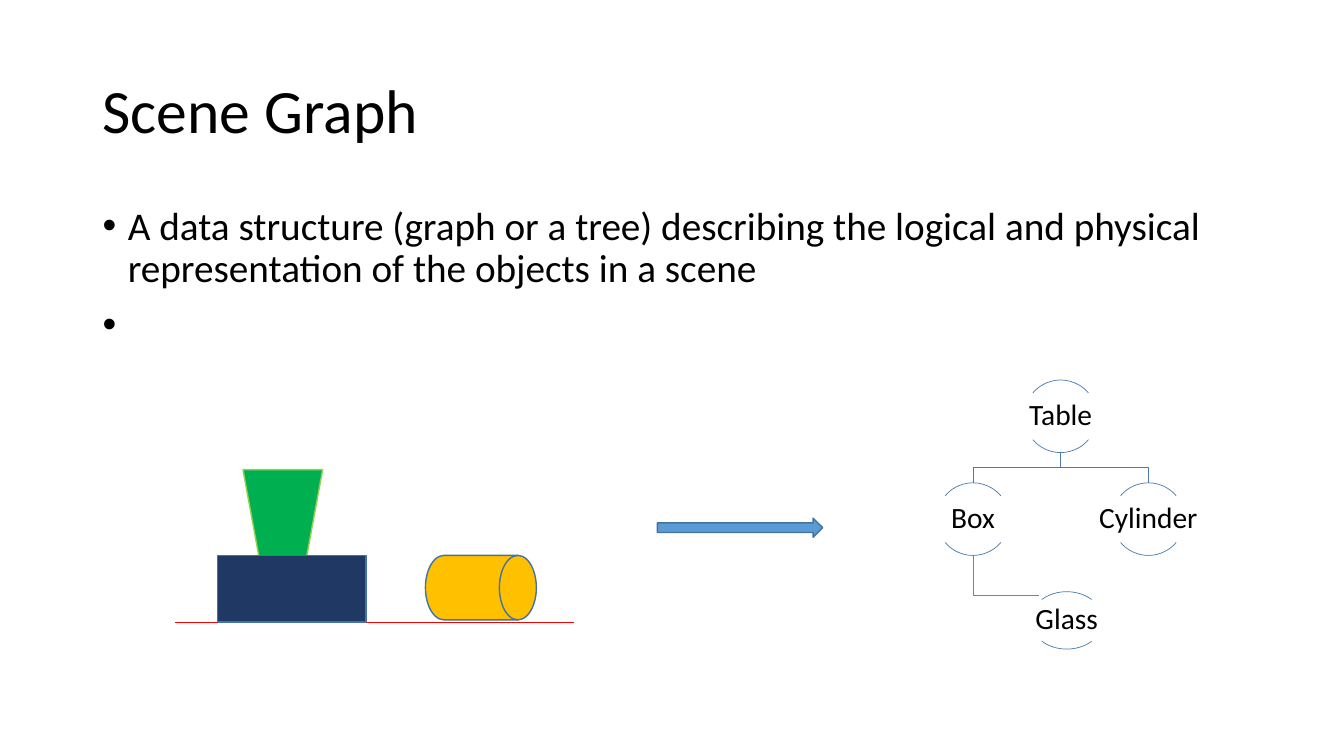
"""Builds the Scene Graph slide: a small scene and the tree that describes it."""
from lxml import etree
from pptx import Presentation
from pptx import util as u
from pptx.dml.color import RGBColor
from pptx.enum import shapes, text
from pptx.oxml import ns

BLACK = RGBColor(0x00, 0x00, 0x00)
RED = RGBColor(0xFF, 0x00, 0x00)
GREEN = RGBColor(0x00, 0xB0, 0x50)
LIME = RGBColor(0x92, 0xD0, 0x50)
NAVY = RGBColor(0x20, 0x38, 0x64)
GOLD = RGBColor(0xFF, 0xC0, 0x00)
BLUE = RGBColor(0x5B, 0x9B, 0xD5)
EDGE = RGBColor(0x43, 0x73, 0x9E)
LINK = RGBColor(0x49, 0x7C, 0xAB)
PALE = RGBColor(0x53, 0x8D, 0xC1)
KIND = shapes.MSO_SHAPE

deck = Presentation()
deck.slide_width, deck.slide_height = u.Inches(13.33), u.Inches(7.5)
slide = deck.slides.add_slide(deck.slide_layouts[6])


def write(box, lines, size, inset=None):
    """Adds a wrapped text box and returns its frame."""
    frame = slide.shapes.add_textbox(*map(u.Inches, box)).text_frame
    frame.word_wrap = True
    frame.vertical_anchor = text.MSO_ANCHOR.MIDDLE
    if inset is not None:
        frame.margin_left = frame.margin_right = u.Inches(inset)
        frame.margin_top = frame.margin_bottom = u.Inches(inset)
    for i, line in enumerate(lines):
        para = frame.add_paragraph() if i else frame.paragraphs[0]
        para.line_spacing = 0.9
        run = para.add_run()
        run.text = line
        run.font.name, run.font.size = "Calibri", u.Pt(size)
        run.font.color.rgb = BLACK
    return frame


def paint(shape, fill, line, width):
    """Sets fill and outline and drops the shadow."""
    shape.shadow.inherit = False
    if fill is None:
        shape.fill.background()
    else:
        shape.fill.solid()
        shape.fill.fore_color.rgb = fill
    shape.line.color.rgb = line
    shape.line.width = u.Pt(width)


write((0.92, 0.4, 11.5, 1.45), ["Scene Graph"], 44)
body = write((0.92, 2, 11.5, 4.76), [
    "A data structure (graph or a tree) describing the logical and physical "
    "representation of the objects in a scene", " "], 28)
body.vertical_anchor = text.MSO_ANCHOR.TOP
for para in body.paragraphs:
    para.space_before = u.Pt(10)
    props = para._p.get_or_add_pPr()
    props.set("marL", str(u.Inches(0.25)))
    props.set("indent", str(u.Inches(-0.25)))
    etree.SubElement(props, ns.qn("a:buFont")).set("typeface", "Arial")
    etree.SubElement(props, ns.qn("a:buChar")).set("char", "•")

floor = slide.shapes.add_connector(
    shapes.MSO_CONNECTOR.STRAIGHT, *map(u.Inches, (1.74, 6.17, 5.69, 6.17)))
floor.line.color.rgb = RED
floor.line.width = u.Pt(0.5)
etree.SubElement(floor._element.spPr, ns.qn("a:effectLst"))

for kind, box, fill, line in [
    (KIND.FLOWCHART_MANUAL_OPERATION, (2.41, 4.66, 0.79, 0.86), GREEN, LIME),
    (KIND.RECTANGLE, (2.16, 5.51, 1.47, 0.66), NAVY, EDGE),
    (KIND.FLOWCHART_DIRECT_ACCESS_STORAGE, (4.22, 5.51, 1.1, 0.64), GOLD, EDGE),
    (KIND.RIGHT_ARROW, (6.52, 5.14, 1.64, 0.19), BLUE, EDGE),
]:
    paint(slide.shapes.add_shape(kind, *map(u.Inches, box)), fill, line, 1)

root, left, right = 10.52, 9.65, 11.39
for color, points in [
    (LINK, [(root, 4.49), (root, 4.64), (right, 4.64), (right, 4.79)]),
    (PALE, [(left, 5.51), (left, 5.91), (10.31, 5.91)]),
    (LINK, [(root, 4.49), (root, 4.64), (left, 4.64), (left, 4.79)]),
]:
    start, *rest = [(u.Inches(x), u.Inches(y)) for x, y in points]
    path = slide.shapes.build_freeform(*start)
    path.add_line_segments(rest, close=False)
    paint(path.convert_to_shape(), None, color, 0.5)

wide = 0.72
for name, mid, top, high in [
    ("Table", root, 3.77, 0.72),
    ("Box", left, 4.79, 0.72),
    ("Glass", 10.58, 5.87, 0.57),
    ("Cylinder", right, 4.79, 0.72),
]:
    for span in [(132, 192), (24, 84)]:
        arc = slide.shapes.add_shape(
            KIND.ARC, *map(u.Inches, (mid - wide / 2, top, wide, high)))
        arc.adjustments[0], arc.adjustments[1] = span
        paint(arc, None, LINK, 0.5)
    label = write((mid - wide, top + 0.18 * high, 2 * wide, 0.64 * high),
                  [name], 21, 0.01)
    label.paragraphs[0].alignment = text.PP_ALIGN.CENTER

deck.save("out.pptx")
